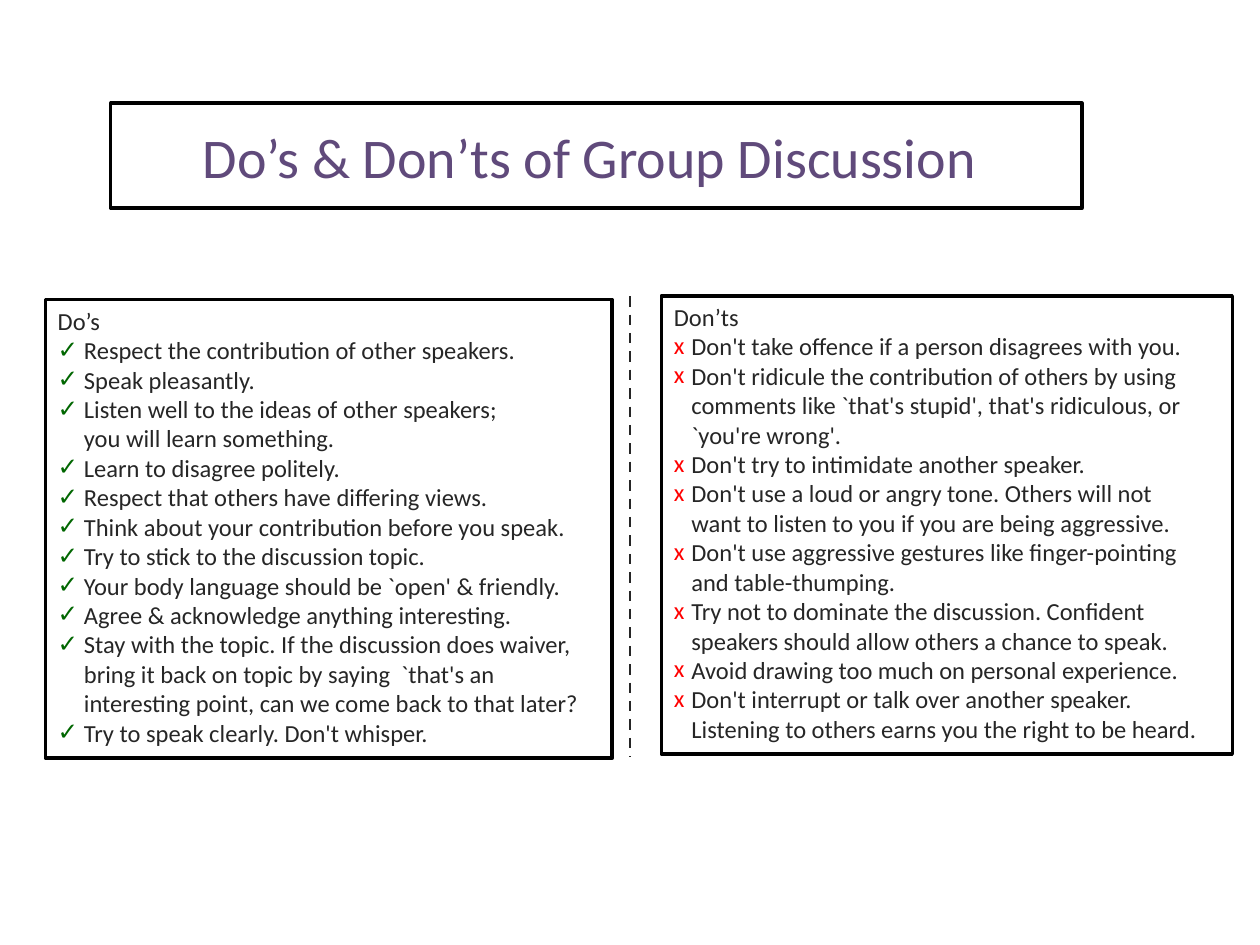
from lxml import etree
from pptx import Presentation
from pptx import util as u
from pptx.dml.color import RGBColor
from pptx.enum import dml, shapes, text
from pptx.oxml.ns import qn

COLOURS = {
    "paper": "FFFFFF",
    "border": "000000",
    "title": "604A7B",
    "body": "262626",
    "do": "006600",
    "dont": "FF0000",
}

# Each item is a tuple of its lines
DOS = [
    ("Respect the contribution of other speakers.",),
    ("Speak pleasantly.",),
    ("Listen well to the ideas of other speakers;", "you will learn something."),
    ("Learn to disagree politely.",),
    ("Respect that others have differing views.",),
    ("Think about your contribution before you speak.",),
    ("Try to stick to the discussion topic.",),
    ("Your body language should be `open' & friendly.",),
    ("Agree & acknowledge anything interesting.",),
    ("Stay with the topic. If the discussion does waiver,",
     "bring it back on topic by saying  `that's an",
     "interesting point, can we come back to that later?"),
    ("Try to speak clearly. Don't whisper.",),
]
DONTS = [
    ("Don't take offence if a person disagrees with you.",),
    ("Don't ridicule the contribution of others by using",
     "comments like `that's stupid', that's ridiculous, or",
     "`you're wrong'."),
    ("Don't try to intimidate another speaker.",),
    ("Don't use a loud or angry tone. Others will not",
     "want to listen to you if you are being aggressive."),
    ("Don't use aggressive gestures like finger-pointing",
     "and table-thumping."),
    ("Try not to dominate the discussion. Confident",
     "speakers should allow others a chance to speak."),
    ("Avoid drawing too much on personal experience.",),
    ("Don't interrupt or talk over another speaker.",
     "Listening to others earns you the right to be heard."),
]


class SlideBuilder:
    font = "Calibri"
    title_size = 32
    body_size = 14
    border_width = 2

    def __init__(self, slide):
        self.slide = slide

    def colour(self, name):
        return RGBColor.from_string(COLOURS[name])

    def frame(self, shape, anchor):
        """Give a shape the white fill, black border and text settings."""
        shape.fill.solid()
        shape.fill.fore_color.rgb = self.colour("paper")
        shape.line.color.rgb = self.colour("border")
        shape.line.width = u.Pt(self.border_width)
        text_frame = shape.text_frame
        text_frame.word_wrap = True
        text_frame.auto_size = text.MSO_AUTO_SIZE.SHAPE_TO_FIT_TEXT
        text_frame.vertical_anchor = anchor
        return text_frame

    def run(self, paragraph, words, size, colour):
        run = paragraph.add_run()
        run.text = words
        run.font.name = self.font
        run.font.size = u.Pt(size)
        run.font.color.rgb = self.colour(colour)

    def title(self, words, left, top, width, height):
        shape = self.slide.shapes.title
        shape.left, shape.top = u.Pt(left), u.Pt(top)
        shape.width, shape.height = u.Pt(width), u.Pt(height)
        paragraph = self.frame(shape, text.MSO_ANCHOR.MIDDLE).paragraphs[0]
        paragraph.alignment = text.PP_ALIGN.CENTER
        self.run(paragraph, words, self.title_size, "title")

    def bullet(self, paragraph, mark, colour, indent):
        properties = paragraph._p.get_or_add_pPr()
        properties.set("marL", str(u.Pt(indent)))
        properties.set("indent", str(-u.Pt(indent)))
        bullet_colour = etree.SubElement(properties, qn("a:buClr"))
        etree.SubElement(bullet_colour, qn("a:srgbClr"), val=COLOURS[colour])
        etree.SubElement(properties, qn("a:buFont"), typeface=self.font)
        etree.SubElement(properties, qn("a:buChar"), char=mark)

    def list_box(self, heading, items, mark, colour, indent, left, top, width, height):
        shape = self.slide.shapes.add_shape(
            shapes.MSO_SHAPE.RECTANGLE,
            u.Pt(left), u.Pt(top), u.Pt(width), u.Pt(height))
        shape.shadow.inherit = False
        text_frame = self.frame(shape, text.MSO_ANCHOR.TOP)
        paragraph = text_frame.paragraphs[0]
        paragraph.alignment = text.PP_ALIGN.LEFT
        self.run(paragraph, heading, self.body_size, "body")
        for lines in items:
            paragraph = text_frame.add_paragraph()
            paragraph.alignment = text.PP_ALIGN.LEFT
            self.bullet(paragraph, mark, colour, indent)
            for number, line in enumerate(lines):
                if number:
                    paragraph.add_line_break()
                self.run(paragraph, line, self.body_size, "body")

    def divider(self, x, top, bottom):
        connector = self.slide.shapes.add_connector(
            shapes.MSO_CONNECTOR.STRAIGHT,
            u.Pt(x), u.Pt(top), u.Pt(x), u.Pt(bottom))
        connector.line.color.rgb = self.colour("body")
        connector.line.width = u.Pt(1.5)
        connector.line.dash_style = dml.MSO_LINE.DASH
        etree.SubElement(connector._element.spPr, qn("a:effectLst"))


def main():
    presentation = Presentation()
    presentation.slide_width, presentation.slide_height = u.Pt(720), u.Pt(540)
    title_only = presentation.slide_layouts[5]
    builder = SlideBuilder(presentation.slides.add_slide(title_only))

    # Title
    builder.title("Do’s & Don’ts of Group Discussion ", 63.2, 66, 555, 46)

    # Dashed line between the two lists
    builder.divider(360, 169.2, 432.7)

    # Lists
    builder.list_box("Do’s", DOS, "✓", "do", 15, 25.9, 171.2, 324, 262)
    builder.list_box("Don’ts", DONTS, "х", "dont", 10, 378, 169, 326.2, 262)

    presentation.save("out.pptx")


if __name__ == "__main__":
    main()
